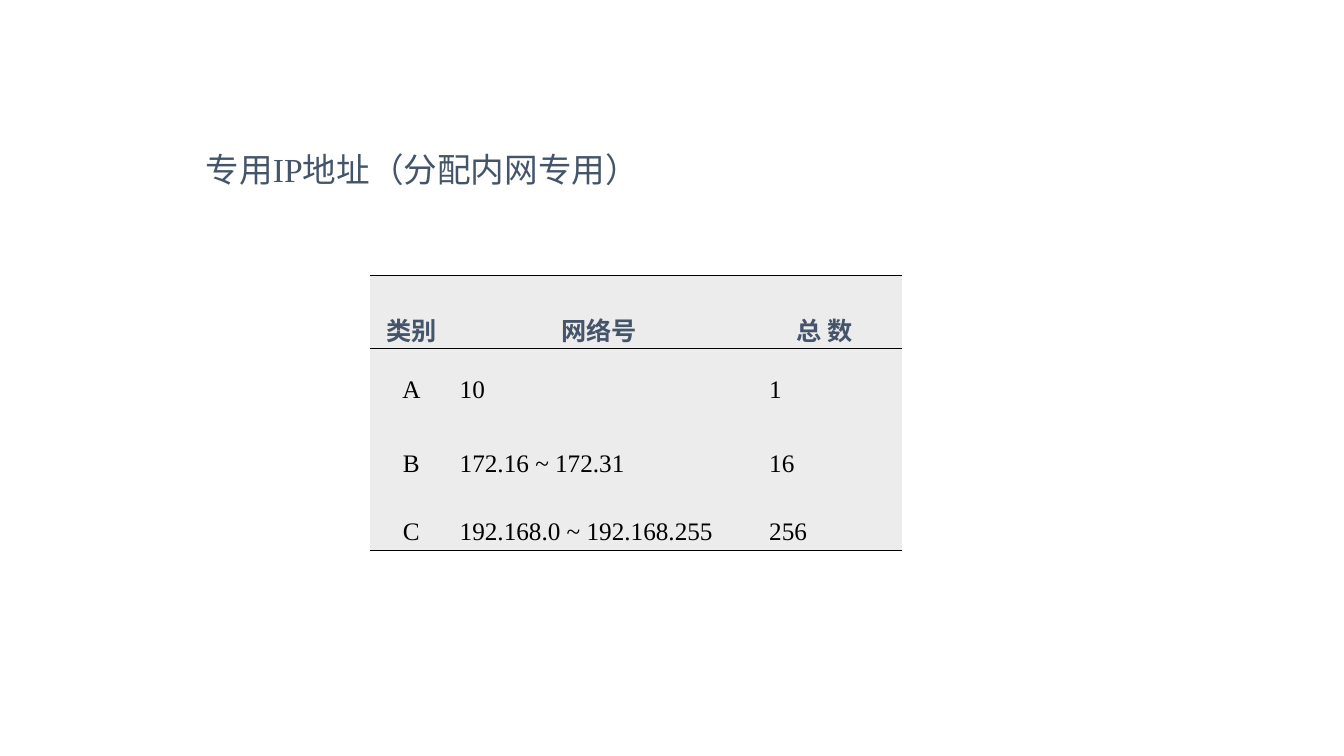
from lxml.etree import SubElement
from pptx import Presentation
from pptx.dml.color import RGBColor
from pptx.enum.text import MSO_ANCHOR, MSO_AUTO_SIZE, PP_ALIGN
from pptx.oxml.ns import qn
from pptx.util import Pt

SCALE = 9144  # EMU in one px, 100 px to the inch
COLORS = {"slate": "44546A", "ink": "000000", "pale": "EDECEC"}
SERIF, SANS = "Times New Roman", "Calibri"


def px(size):
    return size * SCALE


class Page:
    def __init__(self, deck):
        self.slide = deck.slides.add_slide(deck.slide_layouts[1])
        title = self.slide.shapes.title
        title.element.getparent().remove(title.element)

    def color(self, name):
        return RGBColor.from_string(COLORS[name])

    def style(self, para, size, face, color, bold=False):
        font = para.font
        font.size, font.name, font.bold = Pt(size), face, bold
        font.color.rgb = self.color(color)

    def indent(self, para, left, first):
        props = para._p.get_or_add_pPr()
        props.set("marL", str(px(left)))
        props.set("indent", str(px(first)))
        return props

    def body(self, text, left, top, width, height):
        box = self.slide.placeholders[1]
        box.left, box.top = px(left), px(top)
        box.width, box.height = px(width), px(height)
        frame = box.text_frame
        frame.text = text
        frame.auto_size = MSO_AUTO_SIZE.NONE
        para = frame.paragraphs[0]
        para.line_spacing, para.space_before = 1.5, Pt(10)
        SubElement(self.indent(para, 25, -25), qn("a:buNone"))
        self.style(para, 24, SERIF, "slate")

    def border(self, cell, sides):
        props = cell._tc.get_or_add_tcPr()
        for side in "LRTB":
            line = SubElement(props, qn(f"a:ln{side}"), w=str(Pt(1)))
            if side in sides:
                fill = SubElement(line, qn("a:solidFill"))
                SubElement(fill, qn("a:srgbClr"), val=COLORS["ink"])
            else:
                SubElement(line, qn("a:noFill"))

    def cell(self, cell, text, head, align, first, sides):
        cell.text = text
        cell.margin_left = cell.margin_right = px(7)
        cell.margin_top = cell.margin_bottom = 0
        cell.vertical_anchor = MSO_ANCHOR.TOP
        self.border(cell, sides)
        cell.fill.solid()
        cell.fill.fore_color.rgb = self.color("pale")
        para = cell.text_frame.paragraphs[0]
        para.alignment, para.line_spacing = align, 2.0
        if first:
            self.indent(para, 0, first)
        if head:
            self.style(para, 18, SANS, "slate", True)
        else:
            self.style(para, 18, SERIF, "ink")

    def table(self, rows, left, top, widths, heights):
        table = self.slide.shapes.add_table(
            len(rows), len(widths), px(left), px(top),
            px(sum(widths)), px(sum(heights))).table
        table.first_row = table.horz_banding = False
        for col, width in zip(table.columns, widths):
            col.width = px(width)
        for row, height in zip(table.rows, heights):
            row.height = px(height)
        # Rules above and below the head, and under the last row
        rules = {0: "TB", 1: "T", len(rows) - 1: "B"}
        for r, row in enumerate(rows):
            for c, text in enumerate(row):
                mid = r == 0 or c == 0
                align = PP_ALIGN.CENTER if mid else PP_ALIGN.JUSTIFY
                first = 16 if r and c == 2 else 0
                self.cell(table.cell(r, c), text, r == 0, align, first,
                          rules.get(r, ""))


def main():
    deck = Presentation()
    deck.slide_width, deck.slide_height = px(1333), px(750)
    page = Page(deck)

    # Heading
    page.body("专用IP地址（分配内网专用）", 194, 123, 900, 79)

    # Private address ranges
    rows = [
        ("类别", "网络号", "总 数"),
        ("A", "10", "1"),
        ("B", "172.16 ~ 172.31", "16"),
        ("C", "192.168.0 ~ 192.168.255", "256"),
    ]
    page.table(rows, 367, 273, (82, 291, 155), (60, 73, 68, 60))
    deck.save("out.pptx")


if __name__ == "__main__":
    main()
